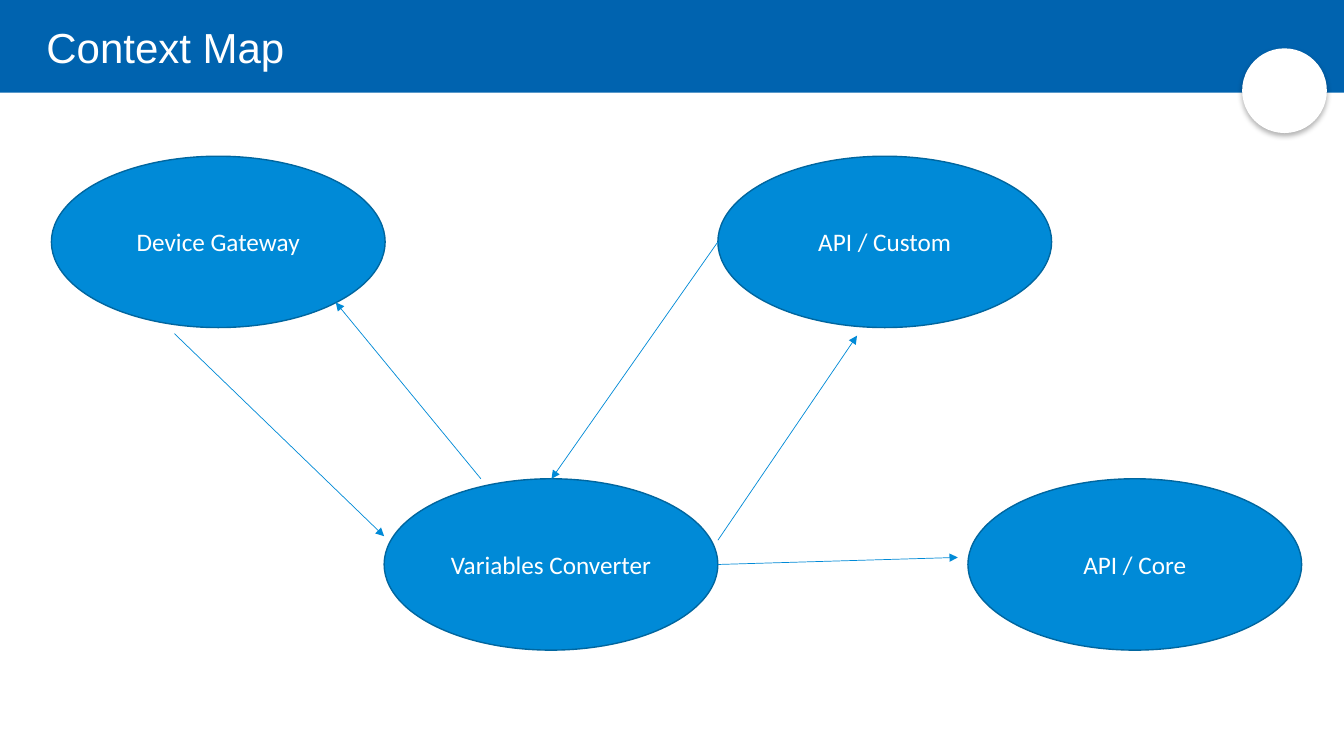
from dataclasses import dataclass
from lxml.etree import SubElement as Sub
from pptx import Presentation
from pptx.dml.color import RGBColor as RGB
from pptx.enum.shapes import MSO_CONNECTOR as Link, MSO_SHAPE as Kind
from pptx.enum.text import MSO_ANCHOR as Anchor, PP_ALIGN as Align
from pptx.oxml.ns import qn
from pptx.util import Inches, Pt


@dataclass(frozen=True)
class Theme:
    bar: str = "0063AF"
    node: str = "008AD7"
    edge: str = "00669F"
    white: str = "FFFFFF"
    shade: str = "000000"
    head: str = "Arial"
    body: str = "Calibri"
    large: int = 30
    small: int = 18


theme = Theme()
title = "Context Map"
size = (3.31, 1.7)
upper, lower = 1.55, 4.75
nodes = [
    ("Device Gateway", 0.51, upper),
    ("Variables Converter", 3.81, lower),
    ("API / Custom", 7.12, upper),
    ("API / Core", 9.6, lower),
]
arrows = [
    ((1.73, 3.31), (3.81, 5.32)),
    ((7.12, 5.36), (8.5, 3.33)),
    ((7.12, 5.6), (9.5, 5.53)),
    ((7.12, 2.4), (5.47, 4.75)),
    ((4.77, 4.75), (3.33, 3)),
]


def write(shape, text, font=theme.body, points=theme.small, align=Align.CENTER, space=1.0):
    frame = shape.text_frame
    frame.word_wrap = True
    frame.vertical_anchor = Anchor.MIDDLE
    para = frame.paragraphs[0]
    para.alignment = align
    para.line_spacing = space
    run = para.add_run()
    run.text = text
    run.font.name = font
    run.font.size = Pt(points)
    run.font.color.rgb = RGB.from_string(theme.white)


def draw(slide, kind, box, fill, edge=None):
    shape = slide.shapes.add_shape(kind, *map(Inches, box))
    shape.shadow.inherit = False
    shape.fill.solid()
    shape.fill.fore_color.rgb = RGB.from_string(fill)
    if edge:
        shape.line.color.rgb = RGB.from_string(edge)
        shape.line.width = Pt(1)
    else:
        shape.line.fill.background()
    return shape


def shade(shape):
    effects = shape.element.spPr.find(qn("a:effectLst"))
    outer = Sub(effects, qn("a:outerShdw"), blurRad=str(Pt(4)), dist=str(Pt(2)),
                dir="5400000", algn="t", rotWithShape="0")
    color = Sub(outer, qn("a:srgbClr"), val=theme.shade)
    Sub(color, qn("a:alpha"), val="30000")


def join(slide, start, end):
    line = slide.shapes.add_connector(Link.STRAIGHT, *map(Inches, start + end))
    line.line.color.rgb = RGB.from_string(theme.node)
    line.line.width = Pt(0.5)
    Sub(line.line._get_or_add_ln(), qn("a:tailEnd"), type="triangle")
    Sub(line.element.spPr, qn("a:effectLst"))


def main():
    deck = Presentation()
    deck.slide_width, deck.slide_height = Inches(13.33), Inches(7.5)
    slide = deck.slides.add_slide(deck.slide_layouts[5])

    draw(slide, Kind.RECTANGLE, (0, 0, 13.33, 0.92), theme.bar)
    shade(draw(slide, Kind.OVAL, (12.32, 0.48, 0.84, 0.84), theme.white))

    head = slide.shapes.title
    head.left, head.top, head.width, head.height = map(Inches, (0.36, 0.15, 8.46, 0.69))
    write(head, title, font=theme.head, points=theme.large, align=Align.LEFT, space=0.9)
    slide.shapes.element.append(head.element)

    for name, left, top in nodes:
        write(draw(slide, Kind.OVAL, (left, top, *size), theme.node, theme.edge), name)
    for start, end in arrows:
        join(slide, start, end)

    deck.save("out.pptx")


if __name__ == "__main__":
    main()
